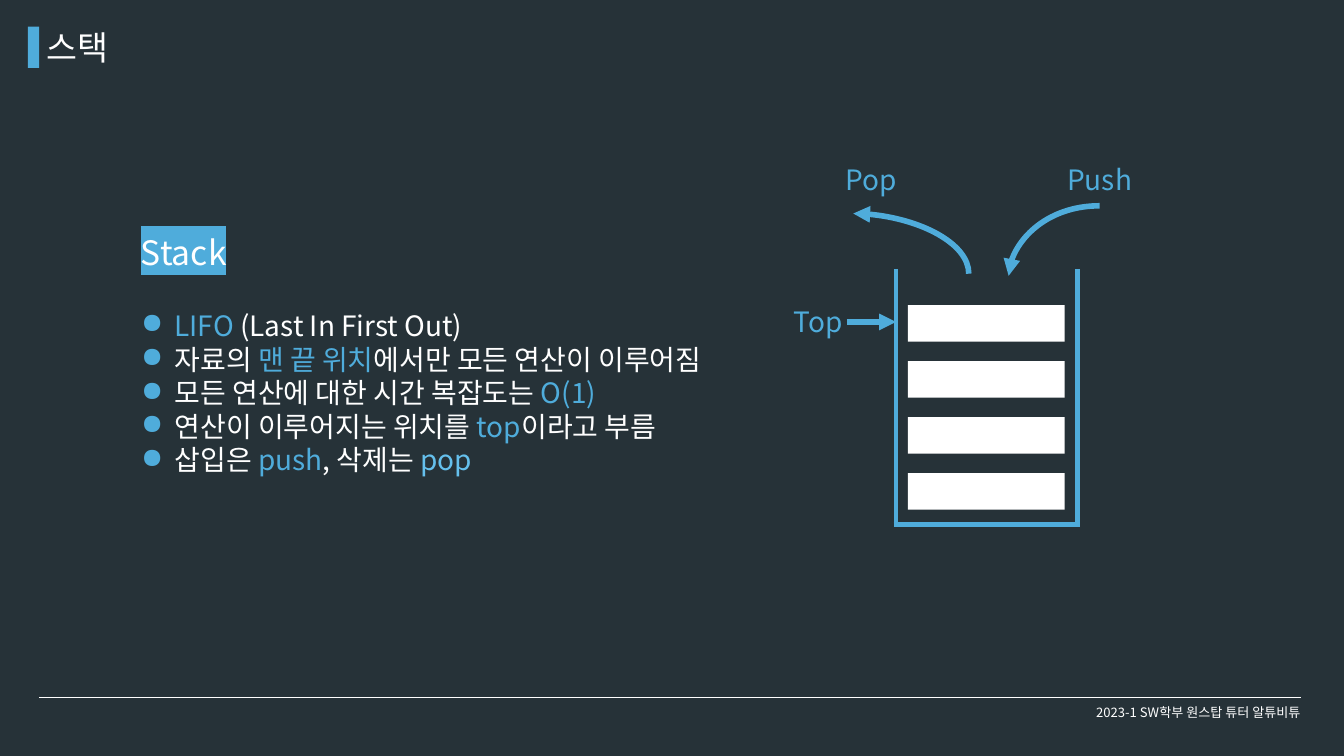
from lxml.etree import SubElement
from pptx import Presentation
from pptx.dml.color import RGBColor
from pptx.enum.shapes import MSO_CONNECTOR, MSO_SHAPE
from pptx.enum.text import MSO_ANCHOR, MSO_AUTO_SIZE, PP_ALIGN
from pptx.oxml.ns import qn
from pptx.util import Emu, Pt

FONT = "Noto Sans CJK KR"
BACKGROUND = "263238"
BLUE = "4FACDB"
LIGHT_BLUE = "65C0ED"
WHITE = "FFFFFF"
BULLETS = [
    [("LIFO ", BLUE), ("(Last In First Out)", WHITE)],
    [("자료의 ", WHITE), ("맨 끝 위치", BLUE), ("에서만 모든 연산이 이루어짐", WHITE)],
    [("모든 연산에 대한 시간 복잡도는 ", WHITE), ("O(1)", BLUE)],
    [("연산이 이루어지는 위치를 ", WHITE), ("top", BLUE), ("이라고 부름", WHITE)],
    [("삽입은 ", WHITE), ("push", BLUE), (", 삭제는 ", WHITE), ("pop", LIGHT_BLUE)],
]


def px(value):
    """Turn pixels (96 to the inch) into EMU."""
    return Emu(value * 9525)


def set_color(target, color):
    """Give a fill a solid hex colour."""
    target.solid()
    target.fore_color.rgb = RGBColor.from_string(color)


def add_color(parent, color):
    """Append a solid hex fill to an XML element."""
    SubElement(SubElement(parent, qn("a:solidFill")), qn("a:srgbClr"), val=color)


def format_paragraph(paragraph, size, color=WHITE, align=PP_ALIGN.LEFT):
    """Set font, colour, alignment and line pitch of a paragraph."""
    paragraph.alignment = align
    paragraph.line_spacing = Pt(size * 1.2)
    paragraph.font.size = Pt(size)
    paragraph.font.name = FONT
    set_color(paragraph.font.fill, color)
    properties = paragraph._p.pPr.find(qn("a:defRPr"))
    SubElement(properties, qn("a:ea"), typeface=FONT)


def add_text_box(slide, left, top, width, height):
    """Add an empty wrapping text box and return its text frame."""
    frame = slide.shapes.add_textbox(px(left), px(top), px(width), px(height)).text_frame
    frame.word_wrap = True
    frame.auto_size = MSO_AUTO_SIZE.SHAPE_TO_FIT_TEXT
    return frame


def add_text(slide, text, box, size, color=WHITE, align=PP_ALIGN.LEFT):
    """Add a one-line text and return its text frame."""
    frame = add_text_box(slide, *box)
    frame.text = text
    format_paragraph(frame.paragraphs[0], size, color, align)
    return frame


def add_title(slide, text):
    """Move and format the title placeholder."""
    title = slide.shapes.title
    title.left, title.top, title.width, title.height = map(px, (57, 34, 912, 68))
    frame = title.text_frame
    frame.text = text
    frame.vertical_anchor = MSO_ANCHOR.TOP
    frame.auto_size = MSO_AUTO_SIZE.SHAPE_TO_FIT_TEXT
    format_paragraph(frame.paragraphs[0], 36)


def add_heading(slide, text):
    """Add a heading with a highlighted background."""
    frame = add_text(slide, text, (192, 326, 344, 68), 36)
    properties = frame.paragraphs[0].runs[0]._r.get_or_add_rPr()
    SubElement(SubElement(properties, qn("a:highlight")), qn("a:srgbClr"), val=BLUE)


def add_bullet(paragraph):
    """Give a paragraph a hanging blue bullet."""
    properties = paragraph._p.get_or_add_pPr()
    properties.set("marL", str(px(48)))
    properties.set("indent", str(px(-48)))
    color = SubElement(properties, qn("a:buClr"))
    SubElement(color, qn("a:srgbClr"), val=BLUE)
    character = SubElement(properties, qn("a:buChar"), char="●")
    properties.find(qn("a:defRPr")).addprevious(color)
    color.addnext(character)


def add_bullet_list(slide, items):
    """Add the list of bullets with coloured runs."""
    frame = add_text_box(slide, 192, 436, 944, 252)
    for index, item in enumerate(items):
        paragraph = frame.add_paragraph() if index else frame.paragraphs[0]
        format_paragraph(paragraph, 30)
        add_bullet(paragraph)
        for text, color in item:
            run = paragraph.add_run()
            run.text = text
            set_color(run.font.fill, color)


def add_rectangle(slide, left, top, width, height, color):
    """Add a plain filled rectangle."""
    shape = slide.shapes.add_shape(MSO_SHAPE.RECTANGLE, px(left), px(top), px(width), px(height))
    shape.shadow.inherit = False
    set_color(shape.fill, color)
    shape.line.fill.background()


def add_line(slide, begin, end, color, width, arrow=None, curved=False):
    """Add a straight or quarter-curved line, with an arrow at headEnd or tailEnd."""
    kind = MSO_CONNECTOR.CURVE if curved else MSO_CONNECTOR.STRAIGHT
    connector = slide.shapes.add_connector(kind, *map(px, begin + end))
    set_color(connector.line.fill, color)
    connector.line.width = Pt(width)
    properties = connector._element.spPr
    if curved:
        properties.find(qn("a:prstGeom")).set("prst", "curvedConnector2")
    if arrow:
        SubElement(properties.find(qn("a:ln")), qn(f"a:{arrow}"), type="triangle")
    SubElement(properties, qn("a:effectLst"))


def set_borders(cell, visible):
    """Draw the named sides of a cell and hide the others."""
    properties = cell._tc.get_or_add_tcPr()
    for side in ("lnL", "lnR", "lnT", "lnB"):
        border = SubElement(properties, qn(f"a:{side}"), w=str(Pt(6)))
        if side in visible:
            add_color(border, BLUE)
        else:
            SubElement(border, qn("a:noFill"))


def add_container(slide):
    """Add the open-topped stack container as a table."""
    heights = [37] + [82] * 4
    table = slide.shapes.add_table(
        len(heights), 1, px(1280), px(384), px(259), px(sum(heights))
    ).table
    table.first_row = table.horz_banding = False
    for index, height in enumerate(heights):
        table.rows[index].height = px(height)
        cell = table.cell(index, 0)
        cell.margin_top = cell.margin_bottom = 0
        is_last = index == len(heights) - 1
        set_borders(cell, ("lnL", "lnR", "lnB") if is_last else ("lnL", "lnR"))
        cell.fill.background()


def main():
    """Build the stack slide and save it."""
    presentation = Presentation()
    presentation.slide_width, presentation.slide_height = px(1920), px(1080)
    slide = presentation.slides.add_slide(presentation.slide_layouts[5])
    set_color(slide.background.fill, BACKGROUND)

    add_line(slide, (56, 996), (1859, 996), WHITE, 0.75)
    add_rectangle(slide, 40, 38, 16, 59, BLUE)
    footer = add_text(slide, "2023-1 SW학부 원스탑 튜터 알튜비튜",
                      (1520, 990, 384, 55), 14, align=PP_ALIGN.CENTER)
    footer.auto_size = MSO_AUTO_SIZE.NONE
    footer.vertical_anchor = MSO_ANCHOR.MIDDLE
    add_title(slide, "스택")
    add_heading(slide, "Stack")
    add_bullet_list(slide, BULLETS)

    add_container(slide)
    for index in range(4):
        add_rectangle(slide, 1297, 676 - 80 * index, 224, 52, WHITE)
    add_line(slide, (1219, 305), (1384, 391), BLUE, 6, "headEnd", curved=True)
    add_line(slide, (1571, 294), (1441, 394), BLUE, 6, "tailEnd", curved=True)
    add_line(slide, (1210, 460), (1280, 460), BLUE, 6, "tailEnd")
    for text, left, top in (("Top", 1089, 430), ("Push", 1491, 227), ("Pop", 1164, 227)):
        add_text(slide, text, (left, top, 160, 59), 30, BLUE, PP_ALIGN.CENTER)

    presentation.save("out.pptx")


if __name__ == "__main__":
    main()
